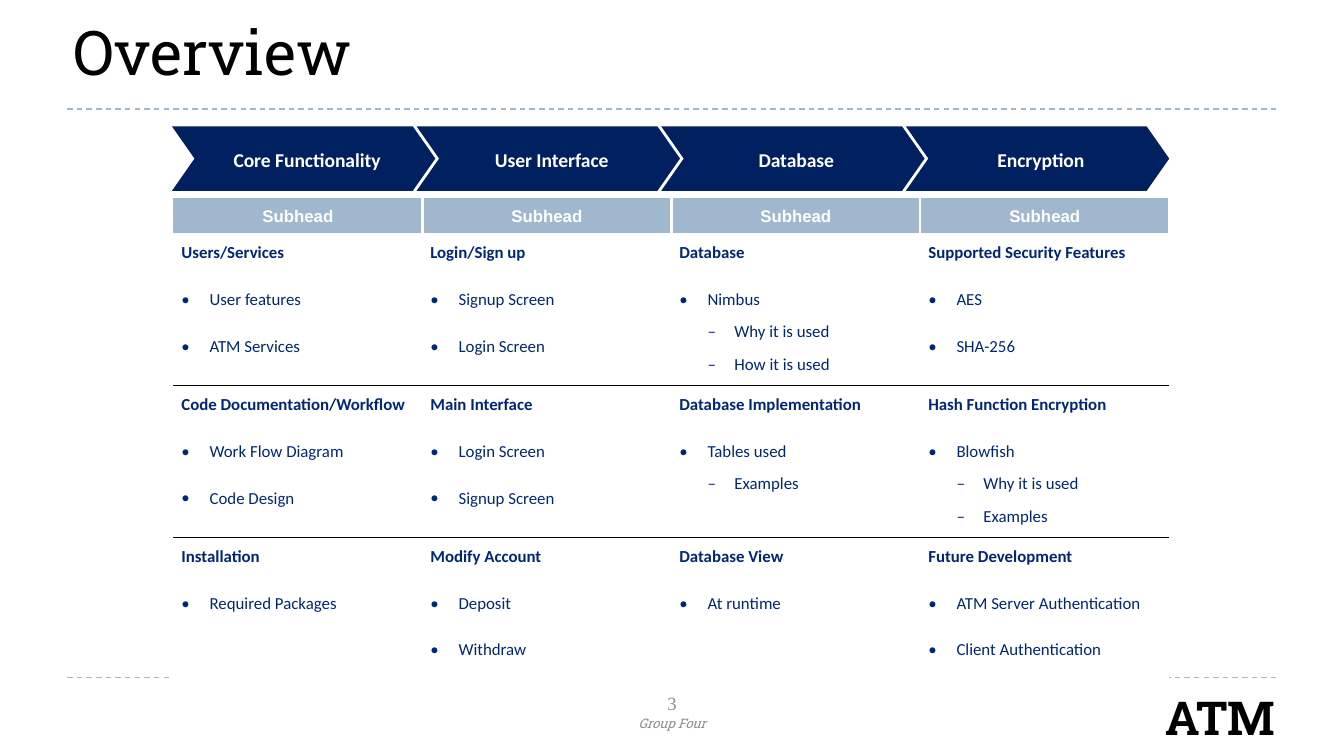
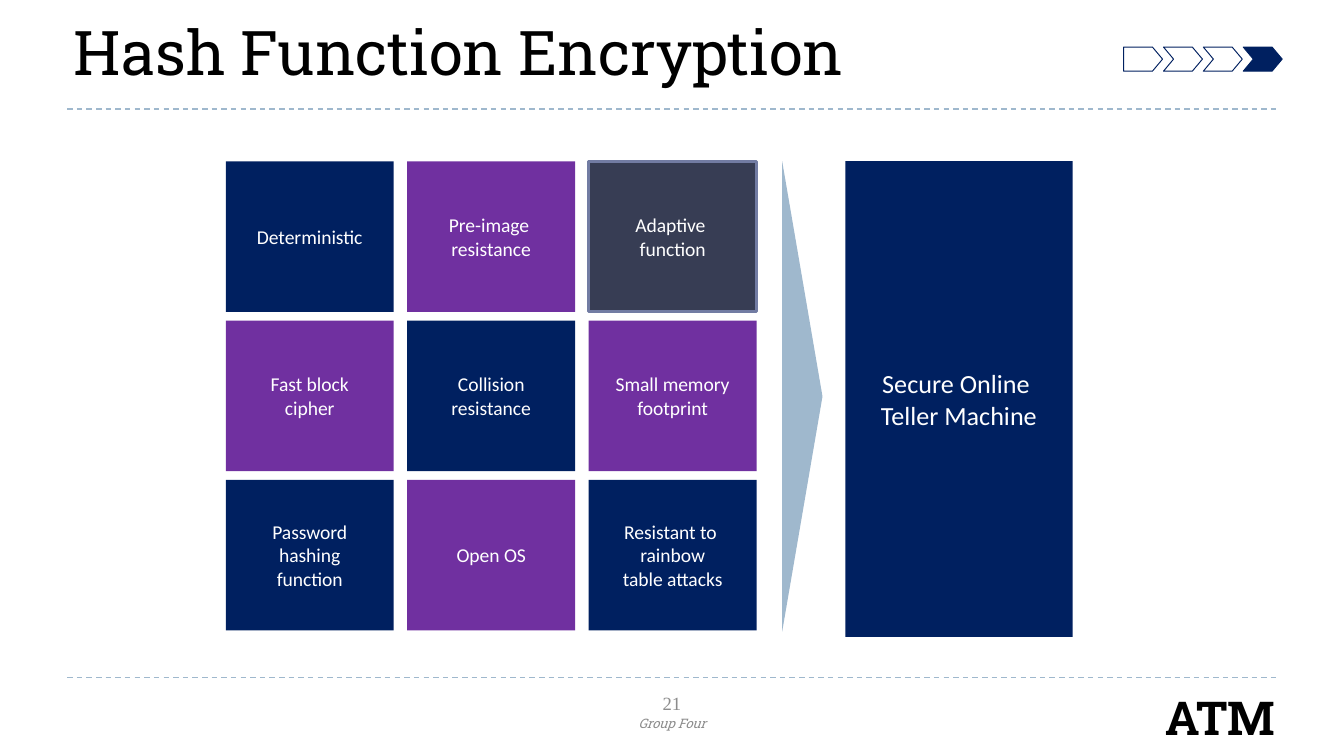
from lxml import etree
from pptx import Presentation
from pptx.dml.color import RGBColor
from pptx.enum import dml, shapes, text
from pptx.oxml import ns
from pptx.util import Inches, Pt

NAVY, PURPLE, SLATE, STEEL = "002060", "7030A0", "373D54", "9FB8CD"
INK, GREY, WHITE, BLACK = "002776", "8C8C8C", "FFFFFF", "000000"
SLAB, SANS = "Roboto Slab", "Calibri"
SHAPE, ALIGN = shapes.MSO_SHAPE, text.PP_ALIGN

STAGES = ["Core Functionality", "User Interface", "Database", "Encryption"]
TOPICS = [
    [
        ["Users/Services", "• User features", "• ATM Services"],
        ["Login/Sign up", "• Signup Screen", "• Login Screen"],
        ["Database", "• Nimbus", "‒ Why it is used", "‒ How it is used"],
        ["Supported Security Features", "• AES", "• SHA-256"],
    ],
    [
        ["Code Documentation/Workflow", "• Work Flow Diagram", "• Code Design"],
        ["Main Interface", "• Login Screen", "• Signup Screen"],
        ["Database Implementation", "• Tables used", "‒ Examples"],
        ["Hash Function Encryption", "• Blowfish", "‒ Why it is used", "‒ Examples"],
    ],
    [
        ["Installation", "• Required Packages"],
        ["Modify Account", "• Deposit", "• Withdraw"],
        ["Database View", "• At runtime"],
        ["Future Development", "• ATM Server Authentication", "• Client Authentication"],
    ],
]
ROW_HEIGHTS = [0.26, 1.13, 1.13, 1.05]
BULLETS = {"•": (1, 0.21, 0.21, 13.4), "‒": (2, 0.41, 0.2, 5.8)}
TRAITS = [
    ["Deterministic", "Pre-image \nresistance", "Adaptive \nfunction"],
    ["Fast block\ncipher", "Collision\nresistance", "Small memory\nfootprint"],
    ["Password\nhashing\nfunction", "Open OS", "Resistant to \nrainbow\ntable attacks"],
]
RESULT = "Secure Online \nTeller Machine"


def rgb(colour):
    return RGBColor.from_string(colour)


def style(para, size, font, colour, bold=False, italic=False, align=ALIGN.CENTER, spacing=None):
    para.alignment = align
    if spacing:
        para.line_spacing = spacing
    for span in para.runs:
        span.font.size, span.font.name = Pt(size), font
        span.font.bold, span.font.italic = bold, italic
        span.font.color.rgb = rgb(colour)


def write(frame, words, size, font, colour, insets=(0.1, 0.05, 0.1, 0.05), wrap=True,
          anchor=text.MSO_ANCHOR.MIDDLE, **looks):
    frame.text = words
    frame.word_wrap = wrap
    frame.auto_size = text.MSO_AUTO_SIZE.NONE
    frame.vertical_anchor = anchor
    (frame.margin_left, frame.margin_top,
     frame.margin_right, frame.margin_bottom) = map(Inches, insets)
    for para in frame.paragraphs:
        style(para, size, font, colour, **looks)


def add_label(page, place, *words, **looks):
    box = page.shapes.add_textbox(*map(Inches, place))
    write(box.text_frame, *words, **looks)


def add_block(page, kind, place, fill=None, line=None, weight=0.5, adjust=None):
    box = page.shapes.add_shape(kind, *map(Inches, place))
    box.shadow.inherit = False
    if adjust:
        box.adjustments[0] = adjust
    if fill:
        box.fill.solid()
        box.fill.fore_color.rgb = rgb(fill)
    else:
        box.fill.background()
    if line:
        box.line.color.rgb = rgb(line)
        box.line.width = Pt(weight)
    else:
        box.line.fill.background()
    return box


def add_page(deck, heading, number):
    page = deck.slides.add_slide(deck.slide_layouts[5])
    for y in (0.81, 5.04):
        rule = page.shapes.add_connector(
            shapes.MSO_CONNECTOR.STRAIGHT, *map(Inches, (0.5, y, 9.5, y)))
        rule.line.color.rgb = rgb(STEEL)
        rule.line.width = Pt(0.75)
        rule.line.dash_style = dml.MSO_LINE.DASH
        etree.SubElement(rule.element.spPr, ns.qn("a:effectLst"))
    add_label(page, (8.46, 5.08, 1.24, 0.52), "ATM", 25, SLAB, BLACK, bold=True,
              anchor=text.MSO_ANCHOR.TOP)
    title = page.shapes.title
    title.left, title.top, title.width, title.height = map(Inches, (0.5, 0.11, 9, 0.6))
    write(title.text_frame, heading, 33, SLAB, BLACK, insets=[0.05] * 4,
          align=ALIGN.LEFT, spacing=0.9)
    add_label(page, (3.31, 5.23, 3.38, 0.3), "Group Four", 7, SLAB, GREY, italic=True)
    add_label(page, (4.81, 5.11, 0.38, 0.24), str(number), 10, "Times New Roman", GREY)
    return page


def set_borders(cell, **edges):
    props = cell._tc.get_or_add_tcPr()
    for place, side in enumerate("LRTB"):
        colour, weight = edges.get(side, (None, 0))
        line = etree.Element(ns.qn("a:ln" + side), w=str(Pt(weight)))
        if colour:
            fill = etree.SubElement(line, ns.qn("a:solidFill"))
            etree.SubElement(fill, ns.qn("a:srgbClr"), val=colour)
        else:
            etree.SubElement(line, ns.qn("a:noFill"))
        props.insert(place, line)


def set_insets(cell, side, end):
    cell.margin_left = cell.margin_right = Inches(side)
    cell.margin_top = cell.margin_bottom = Inches(end)


def fill_header(cell, column):
    cell.text = "Subhead"
    cell.vertical_anchor = text.MSO_ANCHOR.MIDDLE
    set_insets(cell, 0.08, 0.06)
    style(cell.text_frame.paragraphs[0], 9, "Arial", WHITE, bold=True, spacing=1.06)
    cell.fill.solid()
    cell.fill.fore_color.rgb = rgb(STEEL)
    thin, gap = (WHITE, 1), (WHITE, 1.5)
    set_borders(cell, T=thin, B=thin, L=gap if column else (None, 0),
                R=gap if column < len(STAGES) - 1 else thin)


def fill_topic(cell, lines, row):
    cell.text = "\n".join(line.lstrip("•‒ ") for line in lines)
    set_insets(cell, 0.06, 0.06)
    for line, para in zip(lines, cell.text_frame.paragraphs):
        mark = line[0] if line[0] in BULLETS else None
        level, margin, hang, before = BULLETS.get(mark, (0, 0.39, 0.39, 13.4))
        style(para, 9, SANS, INK, bold=not mark, align=ALIGN.LEFT, spacing=1.06)
        para.level, para.space_before = level, Pt(before)
        props = para._p.get_or_add_pPr()
        props.set("marL", str(Inches(margin)))
        props.set("indent", str(-Inches(hang)))
        if mark:
            etree.SubElement(props, ns.qn("a:buFont"), typeface=SANS)
            etree.SubElement(props, ns.qn("a:buChar"), char=mark)
    cell.fill.background()
    set_borders(cell, T=(BLACK, 1) if row else (WHITE, 1),
                B=(BLACK, 1) if row < len(TOPICS) - 1 else (WHITE, 6))


def build_overview(deck):
    page = add_page(deck, "Overview", 3)
    table = page.shapes.add_table(
        len(ROW_HEIGHTS), len(STAGES),
        *map(Inches, (1.29, 1.47, 7.41, sum(ROW_HEIGHTS)))).table
    table.first_row = table.horz_banding = False
    for row, height in zip(table.rows, ROW_HEIGHTS):
        row.height = Inches(height)
    for column, stage in enumerate(STAGES):
        fill_header(table.cell(0, column), column)
        for row, topics in enumerate(TOPICS):
            fill_topic(table.cell(row + 1, column), topics[column], row)
        chevron = add_block(page, SHAPE.CHEVRON, (1.28 + 1.82 * column, 0.94, 1.96, 0.48),
                            NAVY, adjust=0.35)
        write(chevron.text_frame, stage, 10.5, SANS, WHITE, bold=True, spacing=1.06,
              insets=(0.15, 0.05, 0.1, 0.05))


def build_hashing(deck):
    page = add_page(deck, "Hash Function Encryption", 21)
    insets = (0.1, 0.07, 0.1, 0.07)
    for row, traits in enumerate(TRAITS):
        for column, trait in enumerate(traits):
            special = (row, column) == (0, 2)
            fill = SLATE if special else (NAVY, PURPLE)[(row + column) % 2]
            tile = add_block(page, SHAPE.RECTANGLE,
                             (1.68 + 1.35 * column, 1.2 + 2.37 * row / 2, 1.25, 1.12),
                             fill, "727CA3" if special else None, 1.5)
            write(tile.text_frame, trait, 10.5, SANS, WHITE, insets, wrap=False)
    add_block(page, SHAPE.PENTAGON, (5.82, 1.2, 0.3, 3.5), STEEL, adjust=1)
    result = add_block(page, SHAPE.RECTANGLE, (6.29, 1.2, 1.69, 3.54), NAVY)
    write(result.text_frame, RESULT, 14, SANS, WHITE, insets, wrap=False)
    last = len(STAGES) - 1
    for step in range(len(STAGES)):
        add_block(page, SHAPE.CHEVRON if step else SHAPE.PENTAGON,
                  (8.36 + 0.89 * step / last, 0.35, 0.29, 0.18),
                  NAVY if step == last else None, NAVY, adjust=0.42)


def main():
    """Build the two ATM project slides."""
    deck = Presentation()
    deck.slide_width = Inches(10)
    deck.slide_height = deck.slide_width * 9 // 16
    build_overview(deck)
    build_hashing(deck)
    deck.save("out.pptx")


if __name__ == "__main__":
    main()
